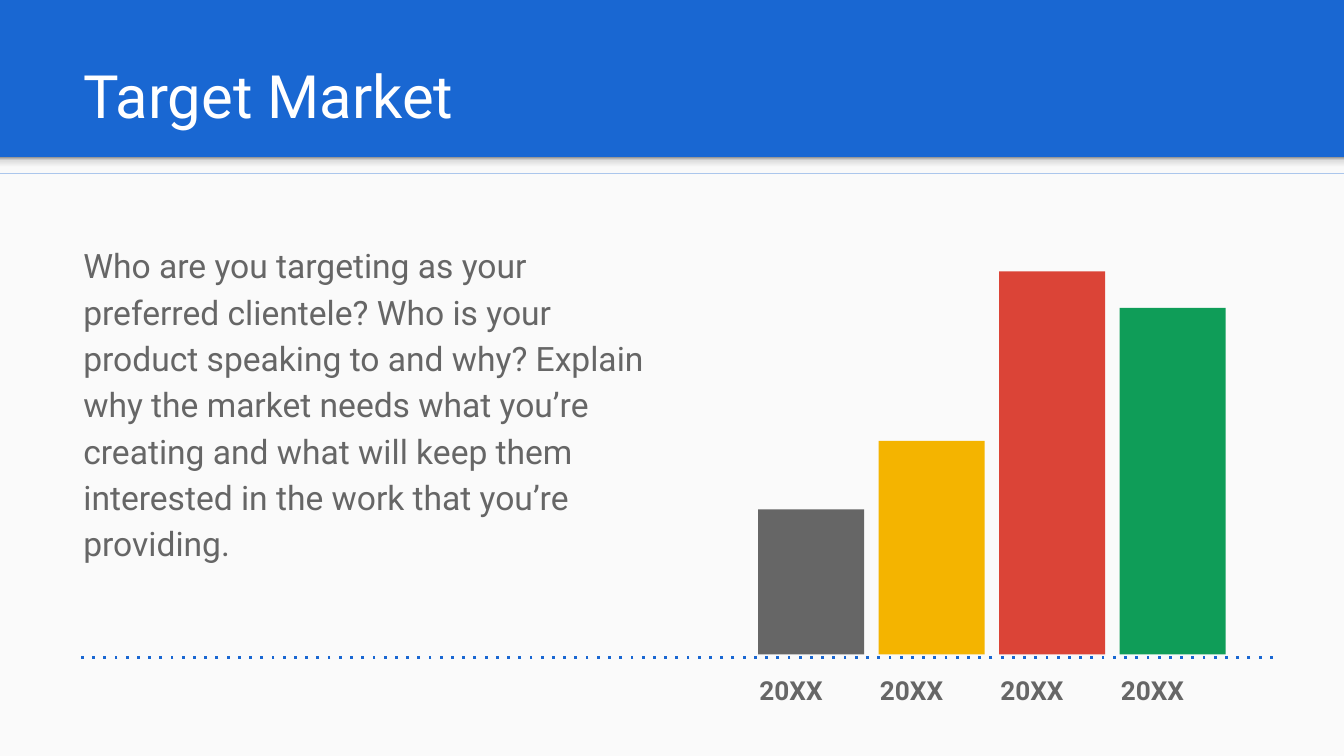
from copy import deepcopy

from pptx import Presentation
from pptx.dml.color import RGBColor
from pptx.enum.dml import MSO_LINE
from pptx.enum.shapes import MSO_CONNECTOR, MSO_SHAPE
from pptx.enum.text import MSO_ANCHOR, MSO_AUTO_SIZE, PP_ALIGN
from pptx.oxml.ns import qn
from pptx.oxml.xmlchemy import OxmlElement
from pptx.util import Inches, Pt

BLUE, GREY, WHITE, PAPER = "1967D2", "666666", "FFFFFF", "FAFAFA"
NO_GRID_STYLE = "{2D5ABB26-0587-4C30-8999-92F81FD0307C}"


def rgb(code):
    return RGBColor.from_string(code)


def box(*lengths):
    return [Inches(length) for length in lengths]


class MarketSlide:
    font = "Roboto"
    margin = Inches(0.1)

    def __init__(self, slide, background):
        self.slide = slide
        slide.background.fill.solid()
        slide.background.fill.fore_color.rgb = rgb(background)

    def style(self, paragraph, size, color, bold=False, spacing=1.0, after=0):
        paragraph.alignment = PP_ALIGN.LEFT
        paragraph.line_spacing = spacing
        paragraph.space_before, paragraph.space_after = Pt(0), Pt(after)
        font = paragraph.font
        font.name, font.size, font.bold = self.font, Pt(size), bold
        font.color.rgb = rgb(color)

    def rectangle(self, at, color):
        shape = self.slide.shapes.add_shape(MSO_SHAPE.RECTANGLE, *box(*at))
        shape.shadow.inherit = False
        shape.line.fill.background()
        shape.fill.solid()
        shape.fill.fore_color.rgb = rgb(color)
        return shape

    def gradient_band(self, at, stops, angle):
        band = self.rectangle(at, stops[0][1])
        band.fill.gradient()
        band.fill.gradient_angle = angle
        stop_list = band._element.spPr.find(".//" + qn("a:gsLst"))
        while len(stop_list) < len(stops):
            stop_list.append(deepcopy(stop_list[0]))
        for stop, (position, color) in zip(band.fill.gradient_stops, stops):
            stop.position = position
            stop.color.rgb = rgb(color)

    def placeholder(self, holder, at, text, anchor, **style):
        holder.left, holder.top, holder.width, holder.height = box(*at)
        # Bring the text in front of the background panels
        self.slide.shapes._spTree.append(holder._element)
        frame = holder.text_frame
        frame.text = text
        frame.word_wrap = True
        frame.auto_size = MSO_AUTO_SIZE.NONE
        frame.vertical_anchor = anchor
        frame.margin_left = frame.margin_right = self.margin
        frame.margin_top = frame.margin_bottom = self.margin
        paragraph = frame.paragraphs[0]
        self.style(paragraph, **style)
        properties = paragraph._p.get_or_add_pPr()
        properties.set("marL", "0")
        properties.set("indent", "0")
        properties.insert_element_before(OxmlElement("a:buNone"), "a:tabLst", "a:defRPr")

    def label_row(self, at, labels):
        table = self.slide.shapes.add_table(1, len(labels), *box(*at)).table
        table._tbl.tblPr.find(qn("a:tableStyleId")).text = NO_GRID_STYLE
        table.first_row = table.horz_banding = False
        for cell, label in zip(table.iter_cells(), labels):
            cell.fill.background()
            cell.margin_left = cell.margin_right = self.margin
            cell.margin_top = cell.margin_bottom = self.margin
            cell.text = label
            self.style(cell.text_frame.paragraphs[0], 14, GREY, bold=True, spacing=1.15)

    def dotted_line(self, start, end, color, width):
        line = self.slide.shapes.add_connector(MSO_CONNECTOR.STRAIGHT, *box(*start, *end))
        line.line.color.rgb = rgb(color)
        line.line.width = Pt(width)
        line.line.dash_style = MSO_LINE.ROUND_DOT
        properties = line._element.spPr
        properties.find(".//" + qn("a:prstDash")).set("val", "dot")
        properties.append(OxmlElement("a:effectLst"))


def main():
    deck = Presentation()
    deck.slide_width = Inches(10)
    deck.slide_height = deck.slide_width * 9 // 16
    slide = deck.slides.add_slide(deck.slide_layouts[1])
    market = MarketSlide(slide, BLUE)

    # Light panel and the shadow below the header
    market.rectangle((0, 1.29, 10, 4.34), PAPER)
    shadow = [(0, "F9F9F9"), (0.36, "F9F9F9"), (0.8, "DEDEDE"), (1, "999999")]
    market.gradient_band((0, 1.17, 10, 0.12), shadow, angle=90)

    # Title and description
    title, description = slide.placeholders
    market.placeholder(title, (0.52, 0.23, 8.99, 0.84), "Target Market",
                       MSO_ANCHOR.BOTTOM, size=32, color=WHITE)
    market.placeholder(
        description, (0.52, 1.68, 4.4, 2.96),
        "Who are you targeting as your preferred clientele? Who is your product "
        "speaking to and why? Explain why the market needs what you’re creating "
        "and what will keep them interested in the work that you’re providing.",
        MSO_ANCHOR.TOP, size=18, color=GREY, spacing=1.15, after=16)

    # Year labels and bars share one column width
    bars = [(1.08, GREY), (1.59, "F4B400"), (2.85, "DB4437"), (2.58, "0F9D58")]
    first_bar, last_bar, baseline = 5.64, 8.33, 4.87
    column = (last_bar - first_bar) / (len(bars) - 1)
    market.label_row((5.55, 4.9, column * len(bars), 0.26), ["20XX"] * len(bars))
    for index, (height, color) in enumerate(bars):
        left = first_bar + index * column
        market.rectangle((left, baseline - height, 0.79, height), color)

    # Ground line
    market.dotted_line((9.47, 4.89), (0.56, 4.89), BLUE, 1.5)

    deck.save("out.pptx")


if __name__ == "__main__":
    main()
